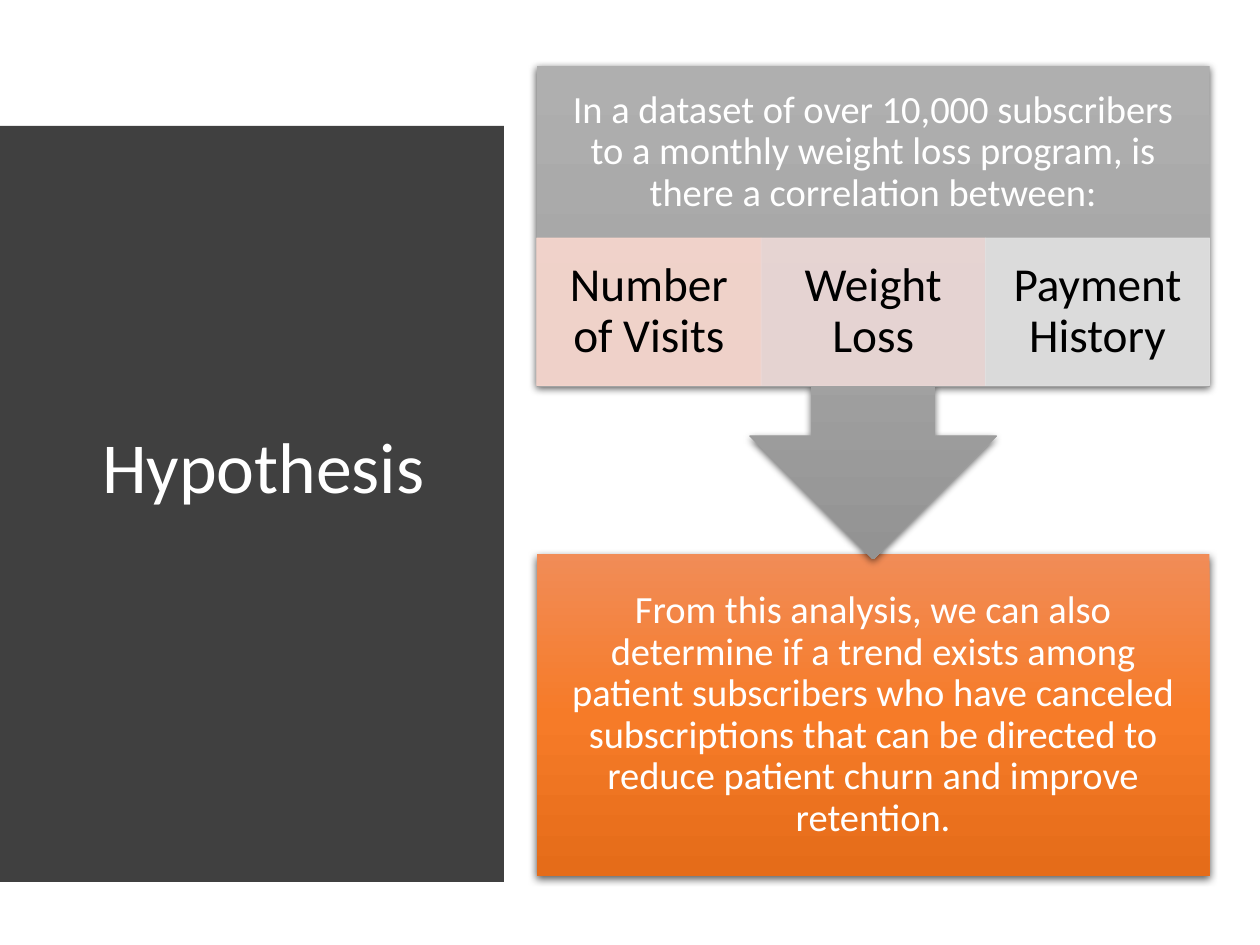
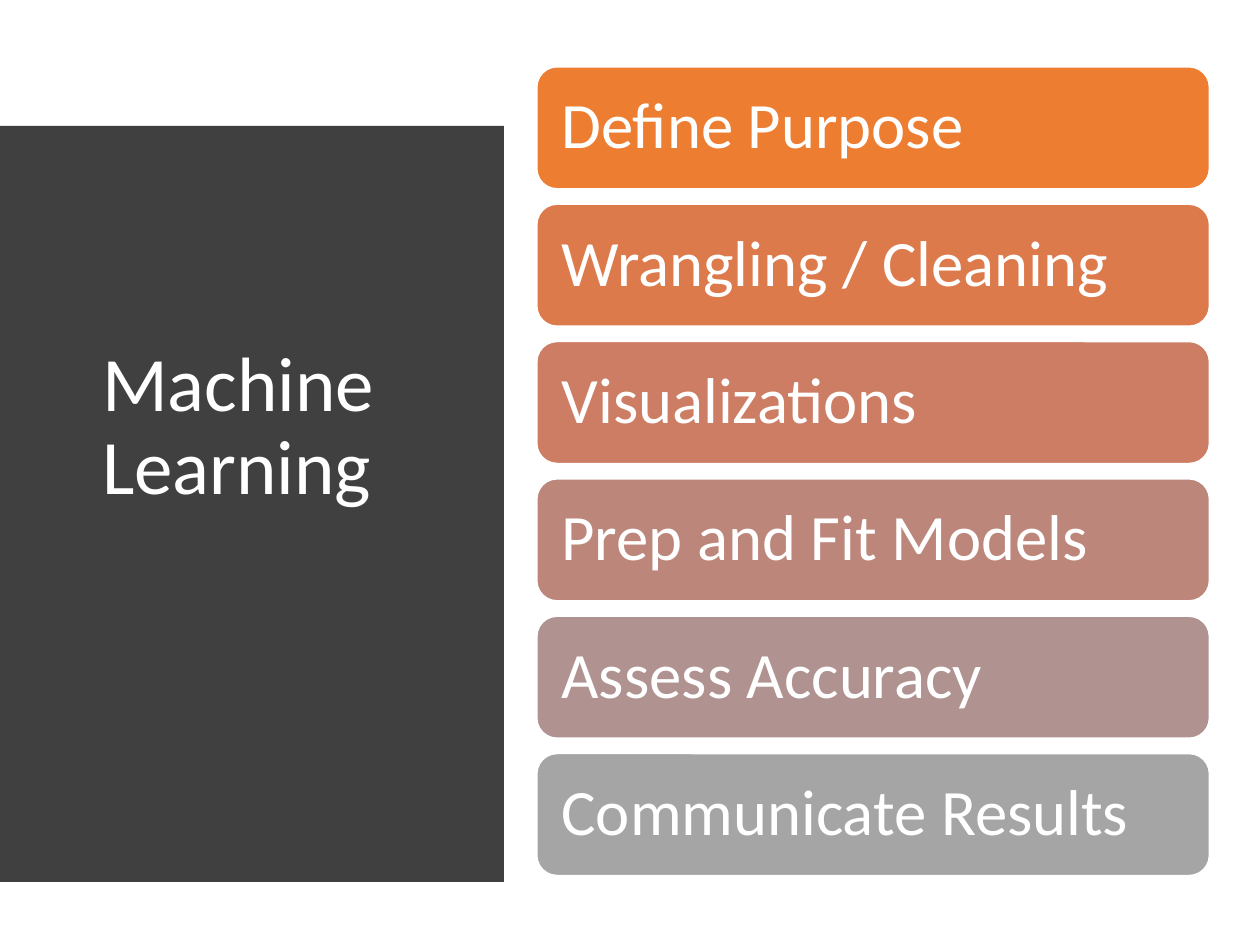
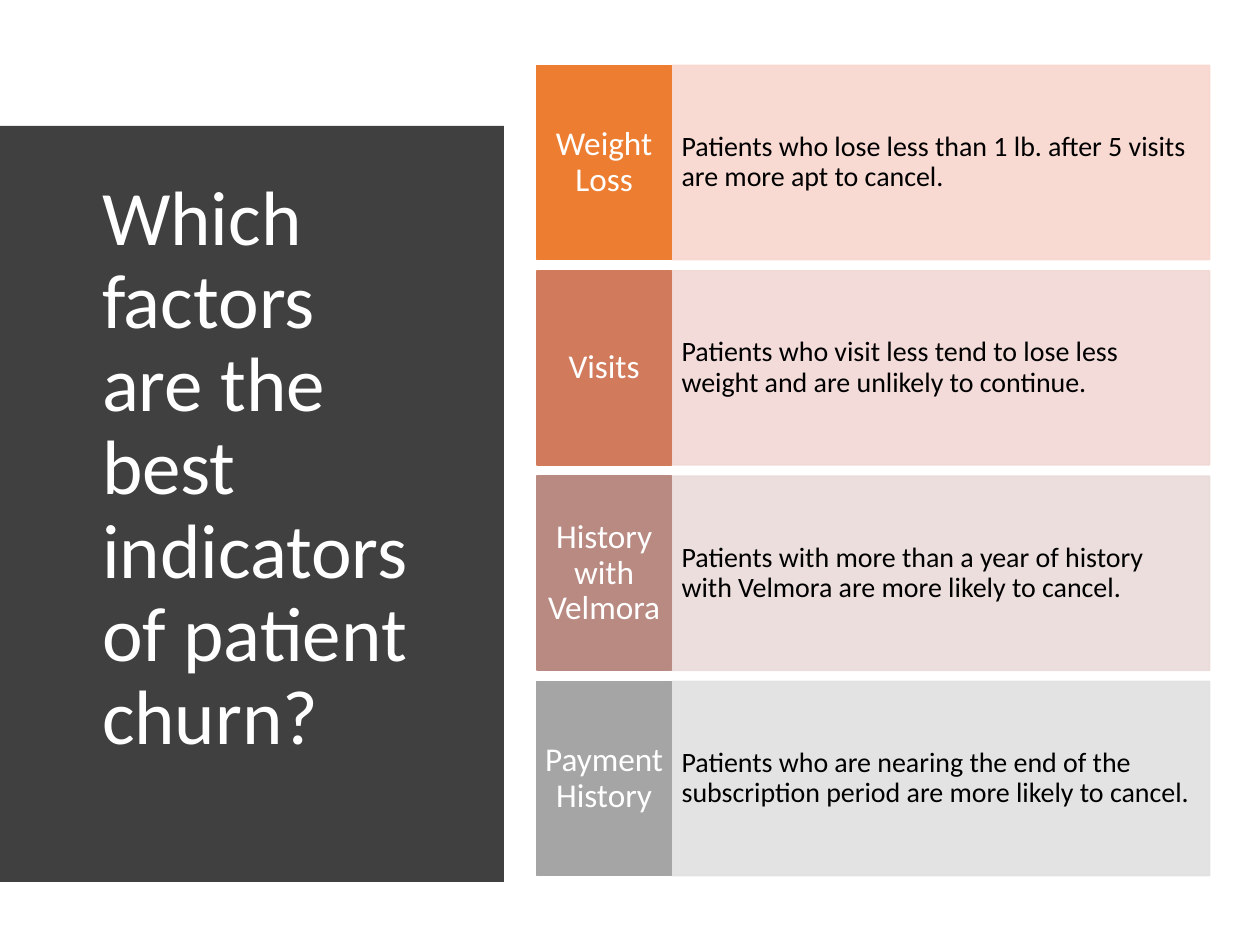
from copy import deepcopy

from lxml import etree
from pptx import Presentation
from pptx import util as u
from pptx.dml.color import RGBColor
from pptx.enum import shapes, text
from pptx.oxml.ns import qn

FONT = "Calibri"
WHITE, BLACK, DARK = "FFFFFF", "000000", "404040"
ORANGE, GRAY = "ED7D31", "A5A5A5"
LEFT, TOP, WIDTH = 4.26, 0.52, 5.34  # area right of the title panel
RECT = shapes.MSO_SHAPE.RECTANGLE
ROUND = shapes.MSO_SHAPE.ROUNDED_RECTANGLE
CALLOUT = shapes.MSO_SHAPE.DOWN_ARROW_CALLOUT
MID = text.PP_ALIGN.CENTER


def rgb(code):
    return RGBColor.from_string(code)


class Deck:
    def __init__(self):
        self.prs = Presentation()
        self.prs.slide_width = u.Inches(10)
        self.prs.slide_height = u.Inches(7.5)
        self.slide = None

    def page(self, title, size=44, foot=0.05):
        """Start a slide with the curved panel and its title."""
        self.slide = self.prs.slides.add_slide(self.prs.slide_layouts[5])
        head = self.slide.shapes.title
        head.left, head.top = u.Inches(0.71), u.Inches(1.11)
        head.width, head.height = u.Inches(2.8), u.Inches(5.24)
        self.label(head, title, size, WHITE, text.PP_ALIGN.LEFT,
                   (0.1, 0.05, 0.1, foot))
        head._element.addprevious(self.panel()._element)

    def panel(self):
        left, edge, bulge, tall, steps = 0.4, 3.81, 0.18, 6.44, 32
        curve = []
        for i in range(steps + 1):
            t = 2 * i / steps - 1
            curve.append((edge + bulge * (1 - t * t), TOP + tall * i / steps))
        outline = self.slide.shapes.build_freeform(left, TOP, u.Inches(1))
        outline.add_line_segments(curve + [(left, TOP + tall)])
        shape = outline.convert_to_shape()
        shape.shadow.inherit = False
        self.paint(shape, DARK)
        shape.line.fill.background()
        return shape

    def label(self, shape, words, size, color, align, pads):
        frame = shape.text_frame
        frame.word_wrap = True
        frame.auto_size = text.MSO_AUTO_SIZE.NONE
        frame.vertical_anchor = text.MSO_ANCHOR.MIDDLE
        (frame.margin_left, frame.margin_top,
         frame.margin_right, frame.margin_bottom) = map(u.Inches, pads)
        para = frame.paragraphs[0]
        para.alignment, para.line_spacing = align, 0.9
        run = para.add_run()
        run.text = words
        run.font.name, run.font.size = FONT, u.Pt(size)
        run.font.color.rgb = rgb(color)

    def paint(self, shape, fill):
        """Fill with one colour, or with a gradient for a tuple of three."""
        if isinstance(fill, str):
            shape.fill.solid()
            shape.fill.fore_color.rgb = rgb(fill)
            return
        shape.fill.gradient()
        shape.fill.gradient_angle = 270
        first = shape._element.spPr.find(".//" + qn("a:gs"))
        first.addnext(deepcopy(first))
        for stop, color, place in zip(shape.fill.gradient_stops, fill, (0, 0.5, 1)):
            stop.color.rgb, stop.position = rgb(color), place

    def box(self, kind, at, fill, words, size, color=WHITE, align=MID,
            pads=(0.17,) * 4, line=None, weight=1, alpha=None, shade=False):
        shape = self.slide.shapes.add_shape(kind, *map(u.Inches, at))
        shape.shadow.inherit = False
        self.paint(shape, fill)
        if line:
            shape.line.color.rgb, shape.line.width = rgb(line), u.Pt(weight)
        else:
            shape.line.fill.background()
        props = shape._element.spPr
        if alpha:
            for tint in props.iter(qn("a:srgbClr")):
                etree.SubElement(tint, qn("a:alpha"), val=str(alpha * 1000))
        if shade:
            cast = etree.SubElement(
                props.find(qn("a:effectLst")), qn("a:outerShdw"),
                blurRad=str(u.Pt(4.5)), dist=str(u.Pt(1.5)),
                dir="5400000", algn="ctr", rotWithShape="0")
            tint = etree.SubElement(cast, qn("a:srgbClr"), val=BLACK)
            etree.SubElement(tint, qn("a:alpha"), val="63000")
        self.label(shape, words, size, color, align, pads)


def theory(deck):
    deck.page("Hypothesis", size=41)
    # Conclusion, then the question pointing down to it
    deck.box(RECT, (LEFT, 4.4, WIDTH, 2.55), ("F18C57", "F67B28", "E56C19"),
             "From this analysis, we can also determine if a trend exists among "
             "patient subscribers who have canceled subscriptions that can be "
             "directed to reduce patient churn and improve retention.",
             22, shade=True)
    deck.box(CALLOUT, (LEFT, TOP, WIDTH, 3.92), ("AFAFAF", "A5A5A5", "939393"),
             "In a dataset of over 10,000 subscribers to a monthly weight loss "
             "program, is there a correlation between:",
             22, pads=(0.17, 0.17, 0.17, 1.34), shade=True)
    # Three factors
    parts = [("Number of Visits", "F8D7CE"), ("Weight Loss", "EDD9D7"),
             ("Payment History", "E1E1E1")]
    wide = WIDTH / len(parts)
    for i, (words, tint) in enumerate(parts):
        deck.box(RECT, (LEFT + i * wide, 1.89, wide, 1.17), tint, words, 27,
                 BLACK, pads=(0.21, 0.04, 0.21, 0.04),
                 line=tint, weight=0.5, alpha=90)


def stages(deck):
    deck.page("Machine Learning", foot=0.71)
    # One bar for each step
    steps = [("Define Purpose", ORANGE), ("Wrangling / Cleaning", "DC7A4B"),
             ("Visualizations", "CC7D64"), ("Prep and Fit Models", "BD867B"),
             ("Assess Accuracy", "B09391"), ("Communicate Results", GRAY)]
    for i, (words, tint) in enumerate(steps):
        deck.box(ROUND, (LEFT, 0.53 + 1.09 * i, WIDTH, 0.97), tint, words, 37,
                 align=text.PP_ALIGN.LEFT, pads=(0.15, 0.1, 0.15, 0.1),
                 line=WHITE)


def factors(deck):
    deck.page("Which factors are the best indicators of patient churn?")
    # Name on the left, finding on the right
    rows = [
        ("Weight Loss", ORANGE, "F8D7CE",
         "Patients who lose less than 1 lb. after 5 visits are more apt to cancel."),
        ("Visits", "D17B5C", "F1D8D4",
         "Patients who visit less tend to lose less weight and are unlikely to continue."),
        ("History with Velmora", "B98A82", "E9DBDA",
         "Patients with more than a year of history with Velmora are more likely to cancel."),
        ("Payment History", GRAY, "E1E1E1",
         "Patients who are nearing the end of the subscription period are more likely to cancel."),
    ]
    side, tall = 1.07, 1.54
    for i, (name, tone, tint, words) in enumerate(rows):
        top = TOP + 1.63 * i
        deck.box(RECT, (LEFT + side, top, WIDTH - side, tall), tint, words, 16,
                 BLACK, text.PP_ALIGN.LEFT, (0.08, 0.39, 0.08, 0.39),
                 line=tint, alpha=90)
        deck.box(RECT, (LEFT, top, side, tall), tone, name, 19,
                 pads=(0.06, 0.15, 0.06, 0.15), line=tone)


def main():
    deck = Deck()
    theory(deck)
    stages(deck)
    factors(deck)
    deck.prs.save("out.pptx")


if __name__ == "__main__":
    main()
